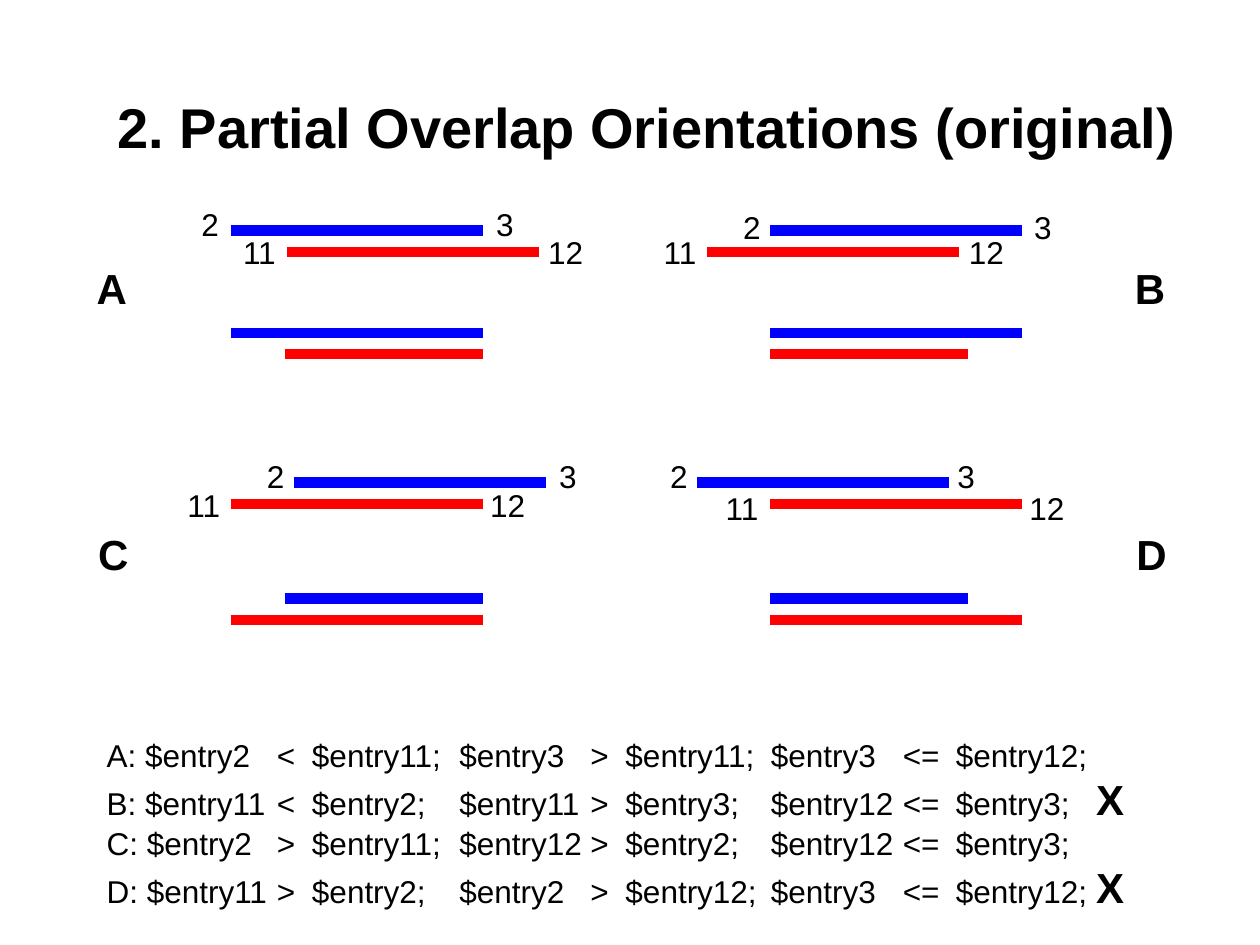
from pptx import Presentation
from pptx.dml.color import RGBColor as Rgb
from pptx.enum.shapes import MSO_CONNECTOR as Link
from pptx.enum.text import MSO_ANCHOR as Anchor, PP_ALIGN as Align
from pptx.oxml.ns import qn
from pptx.util import Cm, Pt

BLUE, RED, BLACK = "0000FF", "FF0000", "000000"
LONG, SHORT, GAP = 5.08, 4, 0.43

deck = Presentation()
deck.slide_width, deck.slide_height = Cm(25.4), Cm(19.05)
slide = deck.slides.add_slide(deck.slide_layouts[6])


def put(text, x, y, w, h, size=18, bold=False, wrap=False, align=Align.LEFT):
    """Add a text box and return its text frame."""
    frame = slide.shapes.add_textbox(Cm(x), Cm(y), Cm(w), Cm(h)).text_frame
    frame.word_wrap = wrap
    frame.text = text
    for para in frame.paragraphs:
        para.alignment = align
        for run in para.runs:
            font = run.font
            font.name, font.size, font.bold = "Arial", Pt(size), bold
            font.color.rgb = Rgb.from_string(BLACK)
    return frame


def bar(x, y, w, tint):
    """Draw a thick level line."""
    line = slide.shapes.add_connector(
        Link.STRAIGHT, Cm(x), Cm(y), Cm(x + w), Cm(y))
    line.line.width = Pt(6)
    line.line.color.rgb = Rgb.from_string(tint)
    props = line._element.spPr
    props.append(props.makeelement(qn("a:effectLst"), {}))


title = put("2. Partial Overlap Orientations (original)", 1.9, 1.7, 22.3, 1.7,
            size=32, bold=True, wrap=True, align=Align.CENTER)
title.vertical_anchor = Anchor.MIDDLE

# Name and its x, top bar y, result bar y, name y,
# then (x, width) of the top blue, top red, result blue and result red bars
panels = [
    ("A", 1.7, 4.65, 6.71, 5.16,
     [(4.65, LONG), (5.79, LONG), (4.65, LONG), (5.74, SHORT)]),
    ("B", 22.63, 4.65, 6.71, 5.16,
     [(15.52, LONG), (14.25, LONG), (15.52, LONG), (15.52, SHORT)]),
    ("C", 1.73, 9.73, 12.07, 10.52,
     [(5.92, LONG), (4.65, LONG), (5.74, SHORT), (4.65, LONG)]),
    ("D", 22.66, 9.73, 12.07, 10.52,
     [(14.05, LONG), (15.52, LONG), (15.52, SHORT), (15.52, LONG)]),
]
for name, x, top, low, mid, bars in panels:
    put(name, x, mid, 1.12, 1.27, size=24, bold=True)
    rows = [top, top + GAP, low, low + GAP]
    for (left, wide), y, tint in zip(bars, rows, [BLUE, RED] * 2):
        bar(left, y, wide, tint)

# Start and end x of each bar's labels, and their y
marks = [
    ("2", "3", 3.81, 9.75, 4.01), ("11", "12", 4.65, 10.8, 4.57),
    ("2", "3", 14.73, 20.6, 4.06), ("11", "12", 13.13, 19.28, 4.57),
    ("2", "3", 5.13, 11.02, 9.09), ("11", "12", 3.53, 9.63, 9.68),
    ("2", "3", 13.26, 19.05, 9.09), ("11", "12", 14.38, 20.5, 9.73),
]
for start, end, left, right, y in marks:
    wide = 0.51 + 0.35 * len(start)
    put(start, left, y, wide, 1.02)
    put(end, right, y, wide, 1.02)

# Each rule: three comparisons, and whether it is crossed out
rules = [
    ("A: $entry2 < $entry11; $entry3 > $entry11; $entry3 <= $entry12;", False),
    ("B: $entry11 < $entry2; $entry11 > $entry3; $entry12 <= $entry3;", True),
    ("C: $entry2 > $entry11; $entry12 > $entry2; $entry12 <= $entry3;", False),
    ("D: $entry11 > $entry2; $entry2 > $entry12; $entry3 <= $entry12;", True),
]
stops = [3.43, 4.14, 7.11, 9.75, 10.46, 13.39, 16.05, 17.12, 19.95]
lines = []
for rule, crossed in rules:
    label, rest = rule.split(" ", 1)
    lines.append(label + " " + rest.replace(" ", "\t"))
frame = put("\n".join(lines), 1.9, 14.71, 21.59, 3.81, wrap=True)
for para, (rule, crossed) in zip(frame.paragraphs, rules):
    props = para._p.get_or_add_pPr()
    tabs = props.makeelement(qn("a:tabLst"), {})
    props.append(tabs)
    for stop in stops:
        tabs.append(tabs.makeelement(
            qn("a:tab"), {"pos": str(Cm(stop)), "algn": "l"}))
    if crossed:
        run = para.add_run()
        run.text = "\tX"
        font = run.font
        font.name, font.size, font.bold = "Arial", Pt(24), True
        font.color.rgb = Rgb.from_string(BLACK)

deck.save("out.pptx")
